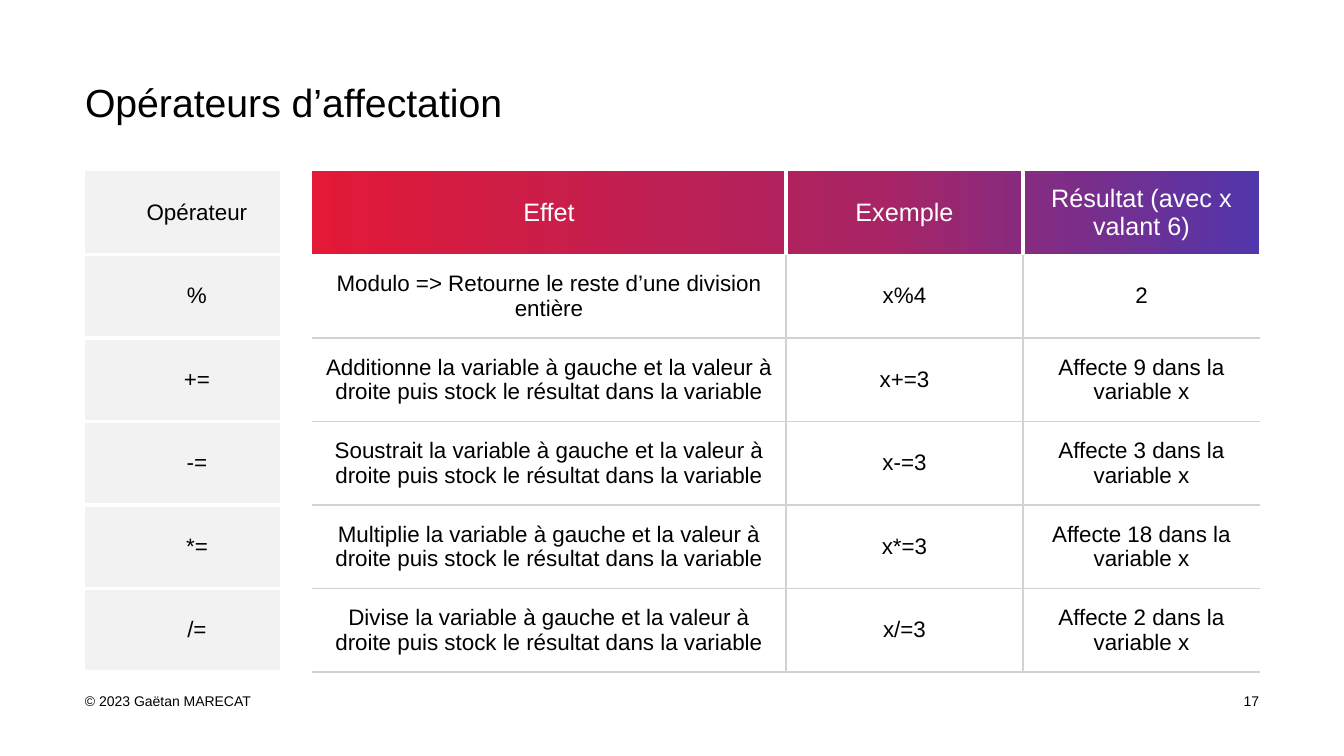
from copy import deepcopy

from lxml.etree import SubElement
from pptx import Presentation
from pptx.dml.color import RGBColor
from pptx.enum.shapes import MSO_SHAPE
from pptx.enum.text import MSO_ANCHOR, MSO_AUTO_SIZE, PP_ALIGN
from pptx.oxml.ns import qn
from pptx.util import Pt

TITLE = "Opérateurs d’affectation"
FOOTER = "© 2023 Gaëtan MARECAT"
PAGE = "17"
HEADER = ("Opérateur", "Effet", "Exemple", "Résultat (avec x valant 6)")
STORE = "la variable à gauche et la valeur à droite puis stock le résultat dans la variable"
OPERATORS = [
    ("%", "Modulo => Retourne le reste d’une division entière", "x%4", "2"),
    ("+=", f"Additionne {STORE}", "x+=3", "Affecte 9 dans la variable x"),
    ("-=", f"Soustrait {STORE}", "x-=3", "Affecte 3 dans la variable x"),
    ("*=", f"Multiplie {STORE}", "x*=3", "Affecte 18 dans la variable x"),
    ("/=", f"Divise {STORE}", "x/=3", "Affecte 2 dans la variable x"),
]
COLORS = {"black": "000000", "white": "FFFFFF", "panel": "F2F2F2", "rule": "D2D2D2"}
HEADER_GRADIENT = [(0, "E31937"), (0.6, "A82465"), (1, "5236AB")]

FONT = "Arial"
PX = 914400 / 100.8
LEFT, TOP, RIGHT = 85, 171, 1259
COLUMNS = (195, 32, 474, 237, 237)
GAP_COLUMN = 1
ROW_HEIGHT = 83.5
OPERATOR_INDENT = 39


def px(n):
    return round(n * PX)


def rgb(name):
    return RGBColor.from_string(COLORS[name])


def write(tf, text, size, color="black", align=PP_ALIGN.LEFT):
    tf.text = text
    tf.word_wrap = True
    p = tf.paragraphs[0]
    p.alignment = align
    font = p.runs[0].font
    font.name, font.size, font.color.rgb = FONT, Pt(size), rgb(color)


def clear_margins(tf):
    tf.margin_left = tf.margin_right = tf.margin_top = tf.margin_bottom = 0
    tf.vertical_anchor = MSO_ANCHOR.MIDDLE


def add_label(s, x, y, w, h, text, align):
    tf = s.shapes.add_textbox(px(x), px(y), px(w), px(h)).text_frame
    clear_margins(tf)
    write(tf, text, 10, align=align)


def set_borders(cell, borders):
    """Draw the given sides (L, R, T, B), each a (color, points) pair; leave the others empty."""
    tcPr = cell._tc.get_or_add_tcPr()
    for i, side in enumerate("LRTB"):
        ln = SubElement(tcPr, qn(f"a:ln{side}"))
        tcPr.insert(i, ln)
        if side in borders:
            color, width = borders[side]
            ln.set("w", str(Pt(width)))
            fill = SubElement(ln, qn("a:solidFill"))
            SubElement(fill, qn("a:srgbClr")).set("val", COLORS[color])
        else:
            ln.set("w", "0")
            SubElement(ln, qn("a:noFill"))


def cell_borders(row, col, last_col):
    if col == GAP_COLUMN:
        return {}
    if col < GAP_COLUMN:
        sides, line = ("TB" if row else "B"), ("white", 3)
    else:
        sides = "L" * (col > GAP_COLUMN + 1) + "R" * (col < last_col)
        sides += "T" * (row > 1) + "B" * (row > 0)
        line = ("rule", 1.5) if row else ("white", 3)
    return {side: line for side in sides}


def add_header_band(s):
    x = LEFT + sum(COLUMNS[:GAP_COLUMN + 1])
    band = s.shapes.add_shape(MSO_SHAPE.RECTANGLE, px(x), px(TOP), px(RIGHT - x), px(ROW_HEIGHT))
    band.shadow.inherit = False
    band.line.fill.background()
    band.fill.gradient()
    band.fill.gradient_angle = 0
    first = band.fill._fill._gradFill.gsLst[0]
    first.addnext(deepcopy(first))
    for stop, (position, color) in zip(band.fill.gradient_stops, HEADER_GRADIENT):
        stop.position = position
        stop.color.rgb = RGBColor.from_string(color)


def add_operator_table(s):
    rows = [HEADER, *OPERATORS]
    frame = s.shapes.add_table(len(rows), len(COLUMNS), px(LEFT), px(TOP),
                               px(sum(COLUMNS)), px(ROW_HEIGHT * len(rows)))
    table = frame.table
    table.first_row = table.horz_banding = False
    for column, width in zip(table.columns, COLUMNS):
        column.width = px(width)
    for r, texts in enumerate(rows):
        table.rows[r].height = px(ROW_HEIGHT)
        cells = [*texts[:GAP_COLUMN], "", *texts[GAP_COLUMN:]]
        for c, text in enumerate(cells):
            cell = table.cell(r, c)
            cell.vertical_anchor = MSO_ANCHOR.MIDDLE
            if c < GAP_COLUMN:
                cell.fill.solid()
                cell.fill.fore_color.rgb = rgb("panel")
                cell.margin_left = px(OPERATOR_INDENT)
            else:
                cell.fill.background()
            set_borders(cell, cell_borders(r, c, len(COLUMNS) - 1))
            if text:
                on_band = r == 0 and c > GAP_COLUMN
                size, color = (18, "white") if on_band else (16, "black")
                write(cell.text_frame, text, size, color, PP_ALIGN.CENTER)


def main():
    prs = Presentation()
    prs.slide_width, prs.slide_height = px(1344), px(756)
    s = prs.slides.add_slide(prs.slide_layouts.get_by_name("Title Only"))

    title = s.shapes.title
    title.left, title.top, title.width, title.height = px(LEFT), px(76), px(1177), px(58)
    tf = title.text_frame
    clear_margins(tf)
    tf.auto_size = MSO_AUTO_SIZE.NONE
    write(tf, TITLE, 28)
    tf.paragraphs[0].line_spacing = 0.9

    add_header_band(s)
    add_operator_table(s)
    add_label(s, LEFT, 691, 212, 19, FOOTER, PP_ALIGN.LEFT)
    add_label(s, RIGHT - 29, 691, 29, 19, PAGE, PP_ALIGN.RIGHT)
    prs.save("out.pptx")


if __name__ == "__main__":
    main()
